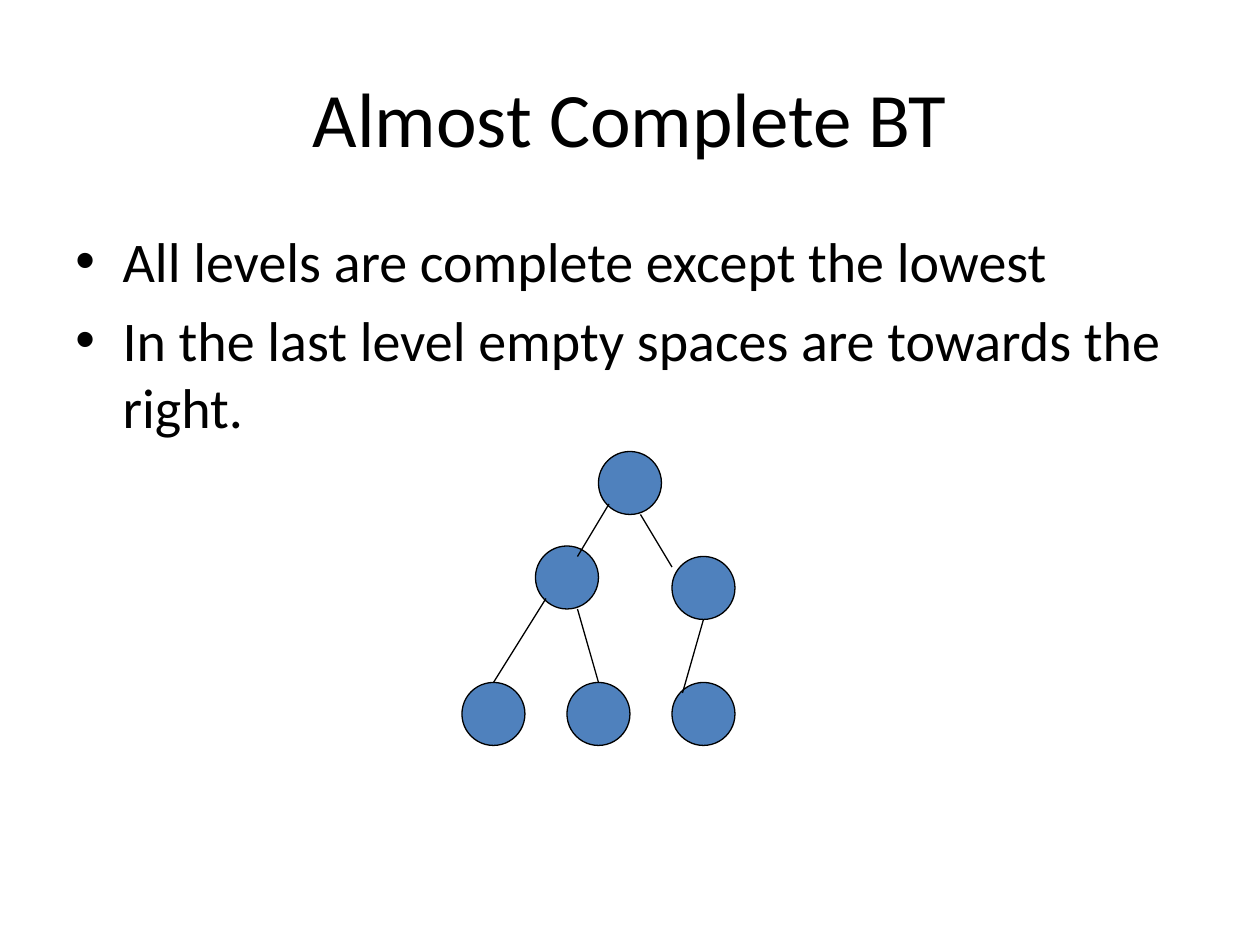
from lxml.etree import SubElement
from pptx import Presentation
from pptx.dml.color import RGBColor
from pptx.enum.shapes import MSO_CONNECTOR, MSO_SHAPE
from pptx.enum.text import MSO_ANCHOR, PP_ALIGN
from pptx.oxml.ns import qn
from pptx.util import Pt

BLACK = RGBColor(0, 0, 0)
BLUE = RGBColor(0x4F, 0x81, 0xBD)
FONT = "Calibri"
SIDE = 36  # node diameter

POINTS = [
    "All levels are complete except the lowest",
    "In the last level empty spaces are towards the right.",
]
# Left and top of each node
NODES = [(342, 258), (384, 318), (306, 312)] + [(264 + 60 * i, 390) for i in range(3)]
# Start x, y and end x, y of each edge
EDGES = [
    (348, 288, 330, 318),
    (366, 294, 384, 324),
    (312, 342, 282, 390),
    (330, 348, 342, 390),
    (402, 354, 390, 396),
]


def style(para, size):
    font = para.font
    font.name, font.size = FONT, Pt(size)
    font.color.rgb = BLACK


def set_title(slide, text):
    title = slide.shapes.title
    title.left, title.top, title.width, title.height = Pt(36), Pt(21.6), Pt(648), Pt(90)
    frame = title.text_frame
    frame.text = text
    frame.vertical_anchor = MSO_ANCHOR.MIDDLE
    para = frame.paragraphs[0]
    para.alignment = PP_ALIGN.CENTER
    style(para, 44)


def add_bullet(para):
    props = para._p.get_or_add_pPr()
    props.set("marL", str(Pt(27)))
    props.set("indent", str(-Pt(27)))
    SubElement(props, qn("a:buFont"), typeface="Arial")
    SubElement(props, qn("a:buChar"), char="•")


def add_list(slide, items):
    box = slide.shapes.add_textbox(Pt(36), Pt(126), Pt(648), Pt(356.4))
    frame = box.text_frame
    frame.word_wrap = True
    for i, item in enumerate(items):
        para = frame.add_paragraph() if i else frame.paragraphs[0]
        para.text = item
        add_bullet(para)
        if i:
            para.space_before = Pt(6.4)
        style(para, 32)


def add_node(slide, left, top):
    node = slide.shapes.add_shape(MSO_SHAPE.OVAL, Pt(left), Pt(top), Pt(SIDE), Pt(SIDE))
    node.shadow.inherit = False
    node.fill.solid()
    node.fill.fore_color.rgb = BLUE
    node.line.color.rgb = BLACK
    node.line.width = Pt(0.75)


def add_edge(slide, *ends):
    edge = slide.shapes.add_connector(MSO_CONNECTOR.STRAIGHT, *map(Pt, ends))
    edge.line.color.rgb = BLACK
    edge.line.width = Pt(0.75)
    SubElement(edge._element.spPr, qn("a:effectLst"))


def main():
    deck = Presentation()
    deck.slide_width, deck.slide_height = Pt(720), Pt(540)
    slide = deck.slides.add_slide(deck.slide_layouts[5])
    set_title(slide, "Almost Complete BT")
    add_list(slide, POINTS)
    for node in NODES:
        add_node(slide, *node)
    for edge in EDGES:
        add_edge(slide, *edge)
    deck.save("out.pptx")


if __name__ == "__main__":
    main()
